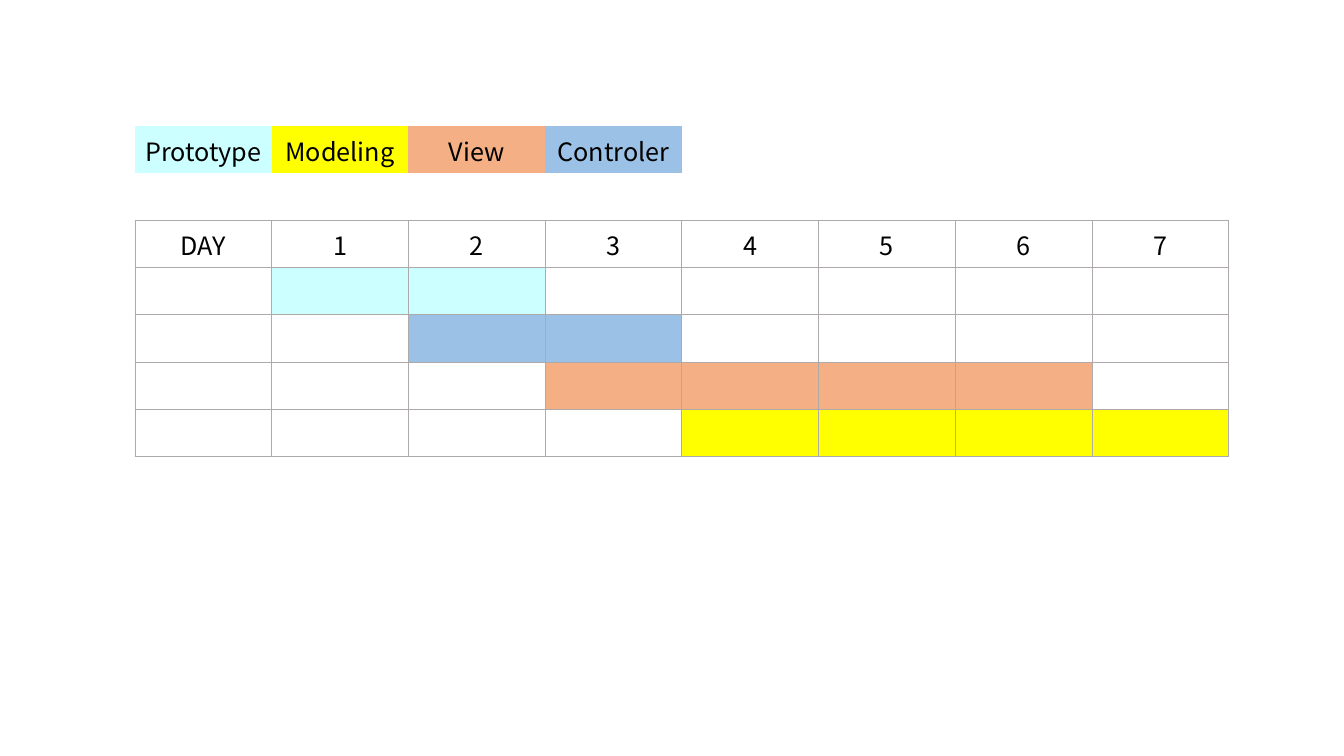
"""Builds a one-slide week plan with a colour legend."""
import lxml.etree
import pptx
import pptx.dml.color
import pptx.enum.text
import pptx.oxml.ns
import pptx.util

Cm = pptx.util.Cm
RGBColor = pptx.dml.color.RGBColor
CYAN = RGBColor(0xCC, 0xFF, 0xFF)
YELLOW = RGBColor(0xFF, 0xFF, 0x00)
ORANGE = RGBColor(0xF4, 0xB0, 0x84)
BLUE = RGBColor(0x9B, 0xC2, 0xE6)
GREY = RGBColor(0xAE, 0xAA, 0xAA)
BLACK = RGBColor(0x00, 0x00, 0x00)

LEGEND = {"Prototype": CYAN, "Modeling": YELLOW, "View": ORANGE, "Controler": BLUE}
PHASES = [("Prototype", 1, 2), ("Controler", 2, 3), ("View", 3, 6), ("Modeling", 4, 7)]
DAYS = 7
HEADER_ROW = 2


class PlanSlide:
    """Holds the style and the current slide."""

    font_name = "Noto Sans CJK SC"
    font_size = pptx.util.Pt(18)
    border_width = pptx.util.Pt(0.5)

    def __init__(self, deck):
        self.slide = deck.slides.add_slide(deck.slide_layouts[6])

    def table(self, left, top, width, height, rows, columns):
        """Adds a plain table with equal rows and columns."""
        frame = self.slide.shapes.add_table(rows, columns, left, top, width, height)
        table = frame.table
        table.first_row = table.horz_banding = False
        for column in table.columns:
            column.width = width // columns
        for row in table.rows:
            row.height = height // rows
        return table

    def borders(self, cell, visible_sides):
        """Draws the named sides of a cell and clears the others."""
        properties = cell._tc.get_or_add_tcPr()
        name = pptx.oxml.ns.qn
        for side in "LRTB":
            line = lxml.etree.SubElement(properties, name(f"a:ln{side}"), w=str(self.border_width))
            if side in visible_sides:
                fill = lxml.etree.SubElement(line, name("a:solidFill"))
                lxml.etree.SubElement(fill, name("a:srgbClr"), val=str(GREY))
            else:
                lxml.etree.SubElement(line, name("a:noFill"))

    def cell(self, cell, text, color, visible_sides):
        """Fills one cell with centred text, a colour and borders."""
        self.borders(cell, visible_sides)
        if color is None:
            cell.fill.background()
        else:
            cell.fill.solid()
            cell.fill.fore_color.rgb = color
        cell.margin_left = cell.margin_right = cell.margin_top = Cm(0.03)
        cell.margin_bottom = 0
        cell.vertical_anchor = pptx.enum.text.MSO_ANCHOR.MIDDLE
        para = cell.text_frame.paragraphs[0]
        para.text = text
        para.alignment = pptx.enum.text.PP_ALIGN.CENTER
        for span in para.runs:
            span.font.name = self.font_name
            span.font.size = self.font_size
            span.font.color.rgb = BLACK


def main():
    """Builds and saves the deck."""
    deck = pptx.Presentation()
    deck.slide_width, deck.slide_height = Cm(33.87), Cm(19.05)
    page = PlanSlide(deck)

    texts, colors = {}, {}
    for column, (phase, color) in enumerate(LEGEND.items()):
        texts[0, column] = phase
        colors[0, column] = color
    for column, label in enumerate(["DAY", *range(1, DAYS + 1)]):
        texts[HEADER_ROW, column] = str(label)
    for row, (phase, first_day, last_day) in enumerate(PHASES, HEADER_ROW + 1):
        for day in range(first_day, last_day + 1):
            colors[row, day] = LEGEND[phase]

    row_count = HEADER_ROW + 1 + len(PHASES)
    table = page.table(Cm(3.4), Cm(3.18), Cm(27.56), Cm(8.32), row_count, DAYS + 1)
    for row in range(row_count):
        sides = "LRTB" if row >= HEADER_ROW else "B" if row == HEADER_ROW - 1 else ""
        for column in range(DAYS + 1):
            place = row, column
            page.cell(table.cell(row, column), texts.get(place, ""), colors.get(place), sides)

    deck.save("out.pptx")


main()
